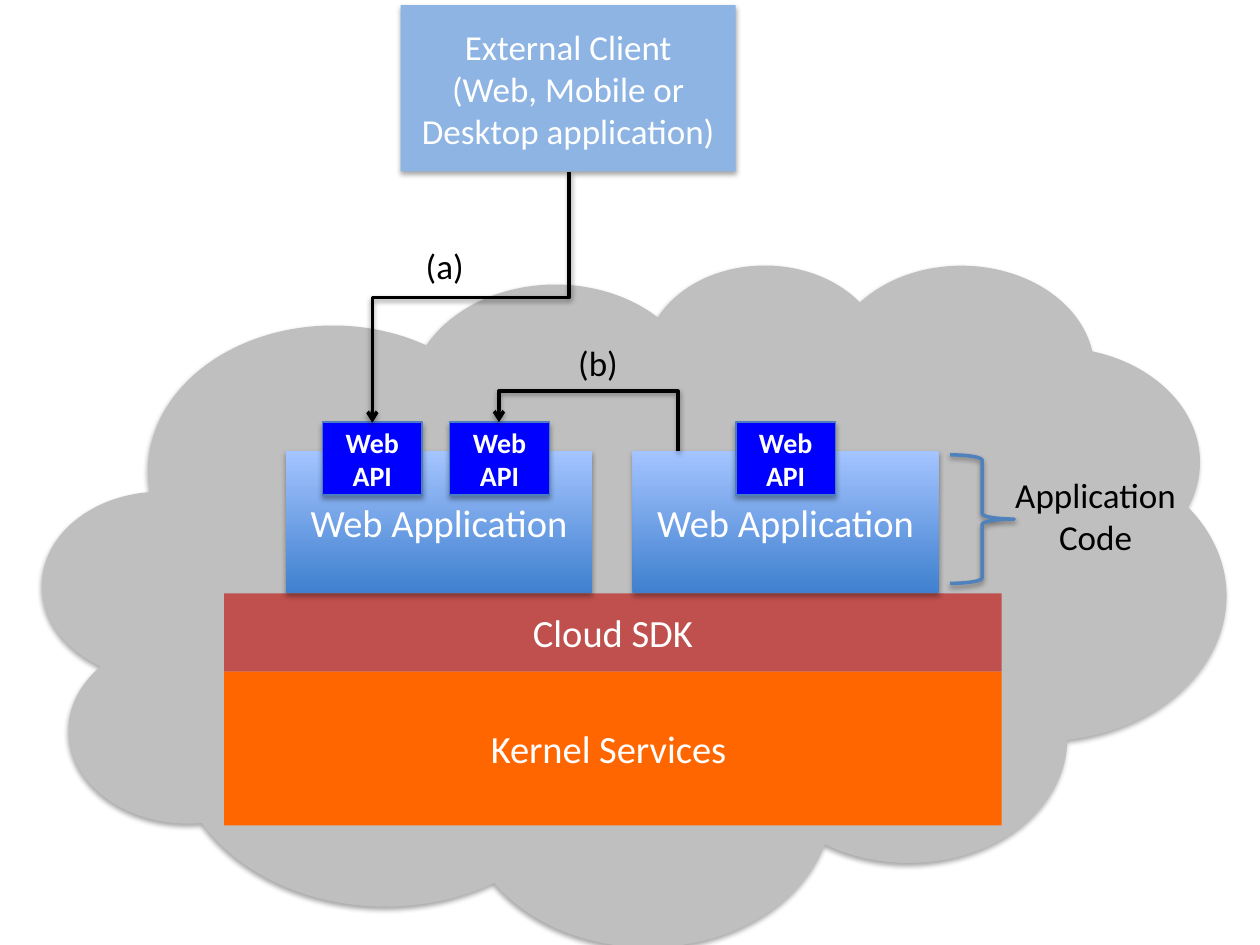
from pptx import Presentation
from pptx.dml.color import RGBColor
from pptx.enum.shapes import MSO_CONNECTOR, MSO_SHAPE
from pptx.enum.text import MSO_ANCHOR, PP_ALIGN
from pptx.oxml import parse_xml
from pptx.oxml.ns import nsdecls, qn
from pptx.util import Inches, Pt

RECT, CLOUD, BRACE = MSO_SHAPE.RECTANGLE, MSO_SHAPE.CLOUD, MSO_SHAPE.RIGHT_BRACE
ELBOW = MSO_CONNECTOR.ELBOW
MIDDLE = MSO_ANCHOR.MIDDLE
LEFT, CENTER = PP_ALIGN.LEFT, PP_ALIGN.CENTER

WHITE = RGBColor(0xFF, 0xFF, 0xFF)
BLACK = RGBColor(0, 0, 0)
GRAY = RGBColor(0xBF, 0xBF, 0xBF)
RED = RGBColor(0xC0, 0x50, 0x4D)
ORANGE = RGBColor(0xFF, 0x66, 0x00)
SKY = RGBColor(0x8E, 0xB4, 0xE3)
DEEP = RGBColor(0x3F, 0x80, 0xCE)
PALE = RGBColor(0xA4, 0xC4, 0xFF)
BLUE = RGBColor(0, 0, 0xFF)
EDGE = RGBColor(0x4B, 0x7E, 0xBC)
STEEL = RGBColor(0x4F, 0x81, 0xBD)


def shade(part, alpha=35, dist=1.8):
    """Give a shape or connector a soft shadow straight below it."""
    props = part._element.spPr
    for old in props.findall(qn("a:effectLst")):
        props.remove(old)
    props.append(parse_xml(
        f'<a:effectLst {nsdecls("a")}><a:outerShdw blurRad="{Pt(3.1)}" '
        f'dist="{Pt(dist)}" dir="5400000" rotWithShape="0">'
        f'<a:srgbClr val="000000"><a:alpha val="{alpha * 1000}"/></a:srgbClr>'
        '</a:outerShdw></a:effectLst>'))


def write(frame, lines, size, color, align=CENTER, bold=False):
    for i, line in enumerate(lines):
        para = frame.paragraphs[0] if i == 0 else frame.add_paragraph()
        para.text = line
        para.alignment = align
        para.font.name = "Calibri"
        para.font.size = Pt(size)
        para.font.bold = bold
        para.font.color.rgb = color


def block(slide, kind, box, fill, lines=(), size=22, bold=False, edge=None):
    shape = slide.shapes.add_shape(kind, *map(Inches, box))
    shape.shadow.inherit = False
    shape.fill.solid()
    shape.fill.fore_color.rgb = fill
    if edge is None:
        shape.line.fill.background()
    else:
        shape.line.color.rgb = edge
        shape.line.width = Pt(0.75)
    frame = shape.text_frame
    frame.word_wrap = True
    frame.vertical_anchor = MIDDLE
    write(frame, lines, size, WHITE, bold=bold)
    return shape


def label(slide, box, lines, align=LEFT):
    text = slide.shapes.add_textbox(*map(Inches, box))
    text.text_frame.word_wrap = False
    write(text.text_frame, lines, 20, BLACK, align)


def web_app(slide, box, tabs):
    """Gradient box with API tabs that stick out of its top edge."""
    left, top, _, _ = box
    shape = block(slide, RECT, box, DEEP, ["Web Application"])
    shape.fill.gradient()
    shape.fill.gradient_angle = 90
    for stop, color in zip(shape.fill.gradient_stops, (DEEP, PALE)):
        stop.color.rgb = color
    shade(shape)
    for tab in tabs:
        shade(block(slide, RECT, (left + tab, top - 0.23, 0.79, 0.58), BLUE,
                    ["Web API"], 16, True, EDGE))


def arrow(slide, box, turn, preset, guides=()):
    """Bent arrow in an unturned box, then turned by whole degrees."""
    left, top, wide, high = box
    line = slide.shapes.add_connector(
        ELBOW, *map(Inches, (left, top, left + wide, top + high)))
    line.line.color.rgb = BLACK
    line.line.width = Pt(2)
    props = line._element.spPr
    props.find(qn("a:xfrm")).set("rot", str(turn * 60000))
    shape = props.find(qn("a:prstGeom"))
    shape.set("prst", preset)
    for i, value in enumerate(guides, 1):
        shape.find(qn("a:avLst")).append(parse_xml(
            f'<a:gd {nsdecls("a")} name="adj{i}" fmla="val {value}"/>'))
    props.find(qn("a:ln")).append(
        parse_xml(f'<a:tailEnd {nsdecls("a")} type="arrow"/>'))
    shade(line, 38, 1.6)


def client(slide, box):
    shade(block(slide, RECT, box, SKY,
                ["External Client", "(Web, Mobile or Desktop application)"], 20))


def calls(slide):
    # (a) client to first API, (b) one application to the other
    arrow(slide, (2.74, 1.58, 1.99, 1.56), 90, "bentConnector3")
    arrow(slide, (3.96, 3.35, 1.42, 0.23), 180, "bentConnector4", (0, 206900))
    label(slide, (3.28, 1.89, 0.51, 0.44), ["(a)"])
    label(slide, (4.49, 2.66, 0.52, 0.44), ["(b)"])


def code_note(slide, box):
    left, top, wide, high = box
    brace = slide.shapes.add_shape(BRACE, *map(Inches, (left, top, 0.51, high)))
    brace.fill.background()
    brace.line.color.rgb = STEEL
    brace.line.width = Pt(2)
    shade(brace, 38, 1.6)
    label(slide, (left + 0.41, top + 0.1, wide - 0.41, 0.77),
          ["Application", "Code"], CENTER)


def stack(slide, box):
    """Platform layers with the web applications standing on top."""
    left, top, wide, _ = box
    block(slide, RECT, (left, top + 1.13, wide, 0.62), RED, ["Cloud SDK"])
    for x, tabs in ((0.49, (0.29, 1.3)), (3.24, (0.82,))):
        web_app(slide, (left + x, top, 2.43, 1.13), tabs)
    block(slide, RECT, (left, top + 1.75, wide, 1.22), ORANGE,
          ["Kernel Services "])


def main():
    deck = Presentation()
    deck.slide_width, deck.slide_height = Inches(10), Inches(7.5)
    slide = deck.slides.add_slide(deck.slide_layouts[6])
    shade(block(slide, CLOUD, (0.34, 2.09, 9.39, 5.41), GRAY))
    stack(slide, (1.78, 3.58, 6.17, 2.97))
    client(slide, (3.18, 0.04, 2.66, 1.32))
    calls(slide)
    code_note(slide, (7.54, 3.61, 1.9, 1.02))
    deck.save("out.pptx")


if __name__ == "__main__":
    main()
